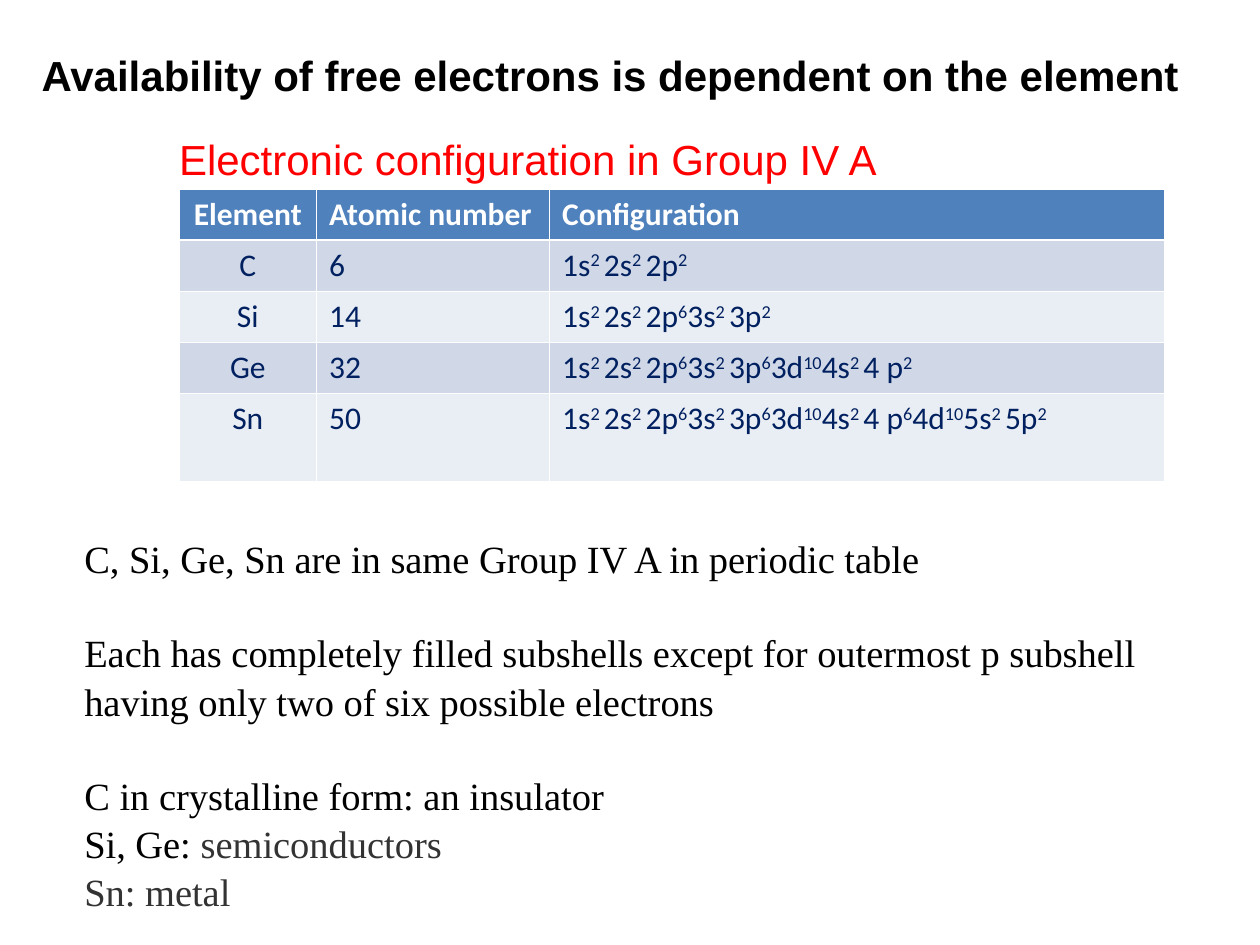
from pptx import Presentation
from pptx.dml.color import RGBColor
from pptx.enum.text import MSO_ANCHOR, PP_ALIGN
from pptx.oxml.ns import qn
from pptx.util import Cm, Pt
from lxml.etree import SubElement

COLORS = {
    "black": "000000", "grey": "333333", "red": "FF0000", "white": "FFFFFF",
    "navy": "002060", "header": "4F81BD", "band_dark": "D0D8E8", "band_light": "E9EDF4",
}
COLUMN_WIDTHS = [2.77, 4.70, 12.40]
ROW_HEIGHTS = [1.03, 1.03, 1.03, 1.03, 1.77]

# Every second piece between bars is a superscript
ELEMENTS = [
    ("Element", "Atomic number", "Configuration"),
    ("C", "6", "1s|2 |2s|2 |2p|2"),
    ("Si", "14", "1s|2 |2s|2 |2p|6|3s|2 |3p|2"),
    ("Ge", "32", "1s|2 |2s|2 |2p|6|3s|2 |3p|6|3d|10|4s|2 |4 p|2"),
    ("Sn", "50", "1s|2 |2s|2 |2p|6|3s|2 |3p|6|3d|10|4s|2 |4 p|6|4d|10|5s|2 |5p|2"),
]

# Each paragraph: space before in points, then its (text, color) runs
NOTES = [
    (0, [("C, Si, Ge, Sn are in same Group IV A in periodic table", "black")]),
    (26.4, [("Each has completely filled subshells except for outermost p subshell "
             "having only two of six possible electrons", "black")]),
    (26.4, [("C in crystalline form: an insulator", "black")]),
    (0, [("Si, Ge: ", "black"), ("semiconductors", "grey")]),
    (0, [("Sn: metal", "grey")]),
]


def add_span(para, text, font, size, color, bold=False):
    span = para.add_run()
    span.text = text
    span.font.name = font
    span.font.size = Pt(size)
    span.font.bold = bold
    span.font.color.rgb = RGBColor.from_string(COLORS[color])
    return span


def add_text(page, area, paragraphs, font, size, bold=False):
    box = page.shapes.add_textbox(*[Cm(length) for length in area])
    frame = box.text_frame
    frame.word_wrap = True
    frame.vertical_anchor = MSO_ANCHOR.MIDDLE
    frame.margin_left = frame.margin_right = frame.margin_bottom = 0
    frame.margin_top = Cm(0.13)
    for index, (space, spans) in enumerate(paragraphs):
        para = frame.add_paragraph() if index else frame.paragraphs[0]
        para.line_spacing = 1.04
        para.space_before = Pt(space)
        for text, color in spans:
            add_span(para, text, font, size, color, bold)


def set_borders(cell, widths):
    properties = cell._tc.get_or_add_tcPr()
    for side, width in widths.items():
        line = SubElement(properties, qn(f"a:ln{side}"), w=str(Pt(width)))
        fill = SubElement(line, qn("a:solidFill"))
        SubElement(fill, qn("a:srgbClr"), val=COLORS["white"])


def fill_cell(cell, text, row, column):
    thin, thick = 0.45, 1.47
    set_borders(cell, {"L": thin, "R": thin,
                       "T": thick if row == 1 else thin,
                       "B": thick if row == 0 else thin})
    if row == 0:
        background = "header"
    else:
        background = "band_dark" if row % 2 else "band_light"
    cell.fill.solid()
    cell.fill.fore_color.rgb = RGBColor.from_string(COLORS[background])
    para = cell.text_frame.paragraphs[0]
    para.alignment = PP_ALIGN.LEFT if column else PP_ALIGN.CENTER
    for index, piece in enumerate(text.split("|")):
        span = add_span(para, piece, "Calibri", 18,
                        "navy" if row else "white", bold=row == 0)
        if index % 2:
            span._r.get_or_add_rPr().set("baseline", "30000")


def add_element_table(page, left, top):
    frame = page.shapes.add_table(
        len(ROW_HEIGHTS), len(COLUMN_WIDTHS), Cm(left), Cm(top),
        Cm(sum(COLUMN_WIDTHS)), Cm(sum(ROW_HEIGHTS)))
    table = frame.table
    for column, width in zip(table.columns, COLUMN_WIDTHS):
        column.width = Cm(width)
    for row, height in zip(table.rows, ROW_HEIGHTS):
        row.height = Cm(height)
    for row, texts in enumerate(ELEMENTS):
        for column, text in enumerate(texts):
            fill_cell(table.cell(row, column), text, row, column)


def main():
    deck = Presentation()
    deck.slide_width, deck.slide_height = Cm(25.4), Cm(19.05)
    page = deck.slides.add_slide(deck.slide_layouts[6])

    # Title
    title = "Availability of free electrons is dependent on the element"
    add_text(page, (0.84, 0.86, 23.06, 1.14), [(0, [(title, "black")])],
             "Arial", 24, bold=True)

    # Table of elements
    add_element_table(page, 3.61, 3.81)

    # Notes below the table
    add_text(page, (1.70, 10.74, 23.06, 7.57), NOTES, "Times New Roman", 22)

    # Table heading
    heading = "Electronic configuration in Group IV A"
    add_text(page, (3.61, 2.54, 17.15, 1.14), [(0, [(heading, "red")])], "Arial", 24)

    deck.save("out.pptx")


if __name__ == "__main__":
    main()
